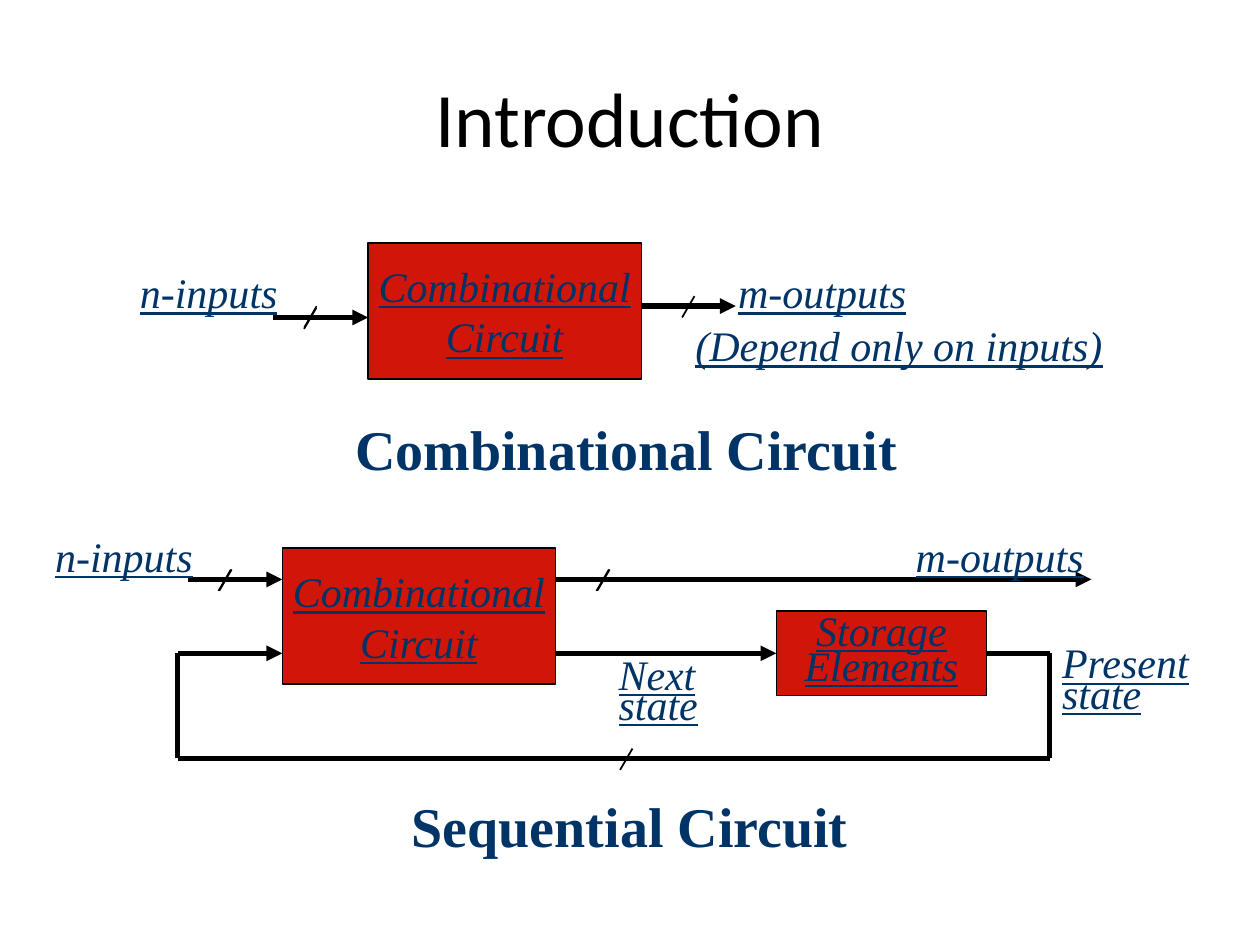
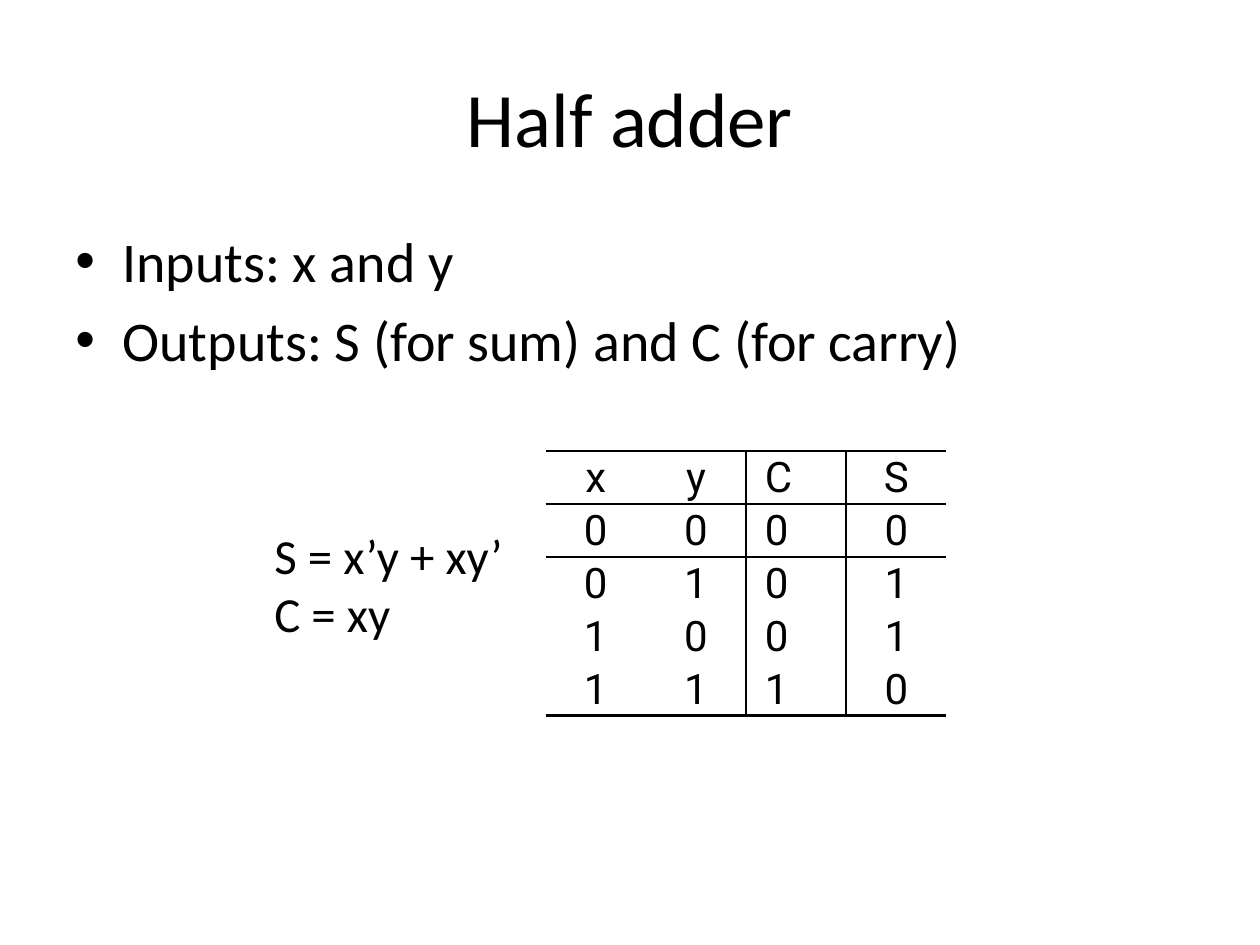
from lxml import etree
from pptx import Presentation
from pptx import util as u
from pptx.dml.color import RGBColor
from pptx.enum import shapes, text
from pptx.oxml.ns import qn

COLORS = {"black": "000000", "rule": "010101", "navy": "003366", "red": "D01608"}
TITLE = {"name": "Calibri", "size": u.Pt(44), "color": "black"}
BODY = {**TITLE, "size": u.Pt(32)}
FORMULA = {**TITLE, "size": u.Pt(28)}
CELL = {"name": "Roboto", "size": u.Pt(24), "color": "black"}
LABEL = {"name": "Times New Roman", "size": u.Pt(24), "color": "navy",
         "italic": True, "underline": True}
CAPTION = {"name": "Times New Roman", "size": u.Pt(32), "color": "navy", "bold": True}
CENTER = {"alignment": text.PP_ALIGN.CENTER}
MIDDLE = {"vertical_anchor": text.MSO_ANCHOR.MIDDLE}
LOOSE = {"word_wrap": False, "margin_top": u.Cm(0.25)}


def write(tf, lines, font, para={}, frame={}):
    """Fill a text frame with one paragraph per line."""
    for key, value in {"word_wrap": True, **frame}.items():
        setattr(tf, key, value)
    for i, line in enumerate(lines):
        p = tf.add_paragraph() if i else tf.paragraphs[0]
        for key, value in para.items():
            setattr(p, key, value)
        r = p.add_run()
        r.text = line
        for key, value in font.items():
            if key == "color":
                r.font.color.rgb = RGBColor.from_string(COLORS[value])
            else:
                setattr(r.font, key, value)


def draw_line(s, x1, y1, x2, y2, width=3, arrow=False):
    """Draw a black straight connector, with an arrowhead if asked."""
    c = s.shapes.add_connector(shapes.MSO_CONNECTOR.STRAIGHT,
                               *(u.Cm(v) for v in (x1, y1, x2, y2)))
    c.line.width = u.Pt(width)
    c.line.color.rgb = RGBColor.from_string(COLORS["black"])
    if arrow:
        etree.SubElement(c.line._get_or_add_ln(), qn("a:tailEnd"), type="triangle")
    etree.SubElement(c._element.spPr, qn("a:effectLst"))
    return c


prs = Presentation()
prs.slide_width, prs.slide_height = u.Cm(25.4), u.Cm(19.05)

# Slides with their titles
slides = []
for title in ("Introduction", "Half adder"):
    s = prs.slides.add_slide(prs.slide_layouts[6])
    sp = s.shapes.add_textbox(u.Cm(1.27), u.Cm(0.76), u.Cm(22.86), u.Cm(3.18))
    write(sp.text_frame, [title], TITLE, CENTER, MIDDLE)
    slides.append(s)
intro, adder = slides

# Circuit blocks
blocks = []
for x, y, w, h, lines, spacing in (
    (7.42, 4.9, 5.51, 2.74, ["Combinational", "Circuit"], 1.0),
    (5.69, 11.05, 5.51, 2.74, ["Combinational", "Circuit"], 1.0),
    (15.65, 12.32, 4.24, 1.7, ["Storage", "Elements"], 0.7),
):
    sp = intro.shapes.add_shape(shapes.MSO_SHAPE.RECTANGLE,
                                u.Cm(x), u.Cm(y), u.Cm(w), u.Cm(h))
    sp.shadow.inherit = False
    sp.fill.solid()
    sp.fill.fore_color.rgb = RGBColor.from_string(COLORS["red"])
    sp.line.color.rgb = RGBColor.from_string(COLORS["black"])
    sp.line.width = u.Pt(0.75)
    write(sp.text_frame, lines, LABEL, {**CENTER, "line_spacing": spacing},
          {**MIDDLE, "word_wrap": False})
    blocks.append(sp)
storage = blocks[2]

# Input and output arrows
for x1, x2, y in ((5.51, 7.42, 6.4), (12.93, 14.83, 6.17),
                  (3.78, 5.69, 11.68), (11.2, 22.0, 11.68)):
    draw_line(intro, x1, y, x2, y, arrow=True)

# Feedback loop through the storage elements
STATE_Y, RETURN_Y, LEFT_X, RIGHT_X = 13.17, 15.29, 3.58, 21.16
draw_line(intro, 11.2, STATE_Y, 15.65, STATE_Y, arrow=True).end_connect(storage, 1)
draw_line(intro, 19.89, STATE_Y, RIGHT_X, STATE_Y).begin_connect(storage, 3)
draw_line(intro, RIGHT_X, STATE_Y, RIGHT_X, RETURN_Y)
draw_line(intro, RIGHT_X, RETURN_Y, LEFT_X, RETURN_Y)
draw_line(intro, LEFT_X, RETURN_Y, LEFT_X, STATE_Y)
draw_line(intro, LEFT_X, STATE_Y, 5.69, STATE_Y, arrow=True)

# Bus slashes
for x, y, width in ((6.38, 6.17, 0.75), (14.0, 5.97, 1), (4.65, 11.48, 0.75),
                    (12.27, 11.48, 0.75), (6.38, 6.2, 1), (4.67, 11.48, 1),
                    (12.29, 11.48, 1), (12.75, 15.09, 1)):
    draw_line(intro, x, y, x - 0.25, y + 0.43, width)

# Signal labels and captions
for x, y, w, h, lines, font, spacing in (
    (2.57, 5.13, 3.68, 1.45, ["n-inputs"], LABEL, 1.0),
    (14.63, 5.13, 4.5, 1.45, ["m-outputs"], LABEL, 1.0),
    (13.77, 6.2, 9.65, 1.45, ["(Depend only on inputs)"], LABEL, 1.0),
    (0.86, 10.44, 3.81, 1.45, ["n-inputs"], LABEL, 1.0),
    (18.21, 10.44, 4.5, 1.45, ["m-outputs"], LABEL, 1.0),
    (12.22, 13.18, 2.62, 1.68, ["Next", "state"], LABEL, 0.6),
    (21.16, 12.95, 3.86, 1.68, ["Present", "state"], LABEL, 0.6),
    (8.05, 15.7, 9.37, 1.63, ["Sequential Circuit"], CAPTION, 1.0),
    (6.91, 8.1, 11.53, 1.63, ["Combinational Circuit"], CAPTION, 1.0),
):
    sp = intro.shapes.add_textbox(u.Cm(x), u.Cm(y), u.Cm(w), u.Cm(h))
    write(sp.text_frame, lines, font, {"line_spacing": spacing}, LOOSE)

# Bulleted inputs and outputs
sp = adder.shapes.add_textbox(u.Cm(1.27), u.Cm(4.45), u.Cm(22.86), u.Cm(12.57))
write(sp.text_frame, ["Inputs: x and y", "Outputs: S (for sum) and C (for carry)"],
      BODY, {"space_after": u.Pt(6.4)})
for p in sp.text_frame.paragraphs:
    pPr = p._p.get_or_add_pPr()
    pPr.set("marL", str(u.Cm(0.95)))
    pPr.set("indent", str(u.Cm(-0.95)))
    etree.SubElement(pPr, qn("a:buFont"), typeface="Arial")
    etree.SubElement(pPr, qn("a:buChar"), char="•")

# Truth table
rows = ["xyCS", "0000", "0101", "1001", "1110"]
ROW_H, COL_W = 1.06, 2.02
RULED_ROWS = {0, 1, 2, 5}
RULED_COLS = {2, 3}
tbl = adder.shapes.add_table(5, 4, u.Cm(11.0), u.Cm(9.09),
                             u.Cm(4 * COL_W), u.Cm(5 * ROW_H)).table
tbl.first_row = tbl.horz_banding = False
for col in tbl.columns:
    col.width = u.Cm(COL_W)
for i, row in enumerate(rows):
    tbl.rows[i].height = u.Cm(ROW_H)
    for j, value in enumerate(row):
        cell = tbl.cell(i, j)
        carry = j == 2
        for key, size in {"left": 0.38 if carry else 0, "right": 0,
                          "top": 0.05, "bottom": 0}.items():
            setattr(cell, f"margin_{key}", u.Cm(size))
        write(cell.text_frame, [value], CELL, {} if carry else CENTER)
        tcPr = cell._tc.get_or_add_tcPr()
        for side, ruled in (("L", j in RULED_COLS), ("R", j + 1 in RULED_COLS),
                            ("T", i in RULED_ROWS), ("B", i + 1 in RULED_ROWS)):
            ln = etree.SubElement(tcPr, qn(f"a:ln{side}"),
                                  w=str(u.Pt(1.5) if ruled else 0))
            if ruled:
                fill = etree.SubElement(ln, qn("a:solidFill"))
                etree.SubElement(fill, qn("a:srgbClr"), val=COLORS["rule"])
            else:
                etree.SubElement(ln, qn("a:noFill"))
        cell.fill.background()

# Output equations
sp = adder.shapes.add_textbox(u.Cm(5.28), u.Cm(10.46), u.Cm(12.7), u.Cm(2.64))
write(sp.text_frame, ["S = x’y + xy’", "C = xy"], FORMULA)

prs.save("out.pptx")
